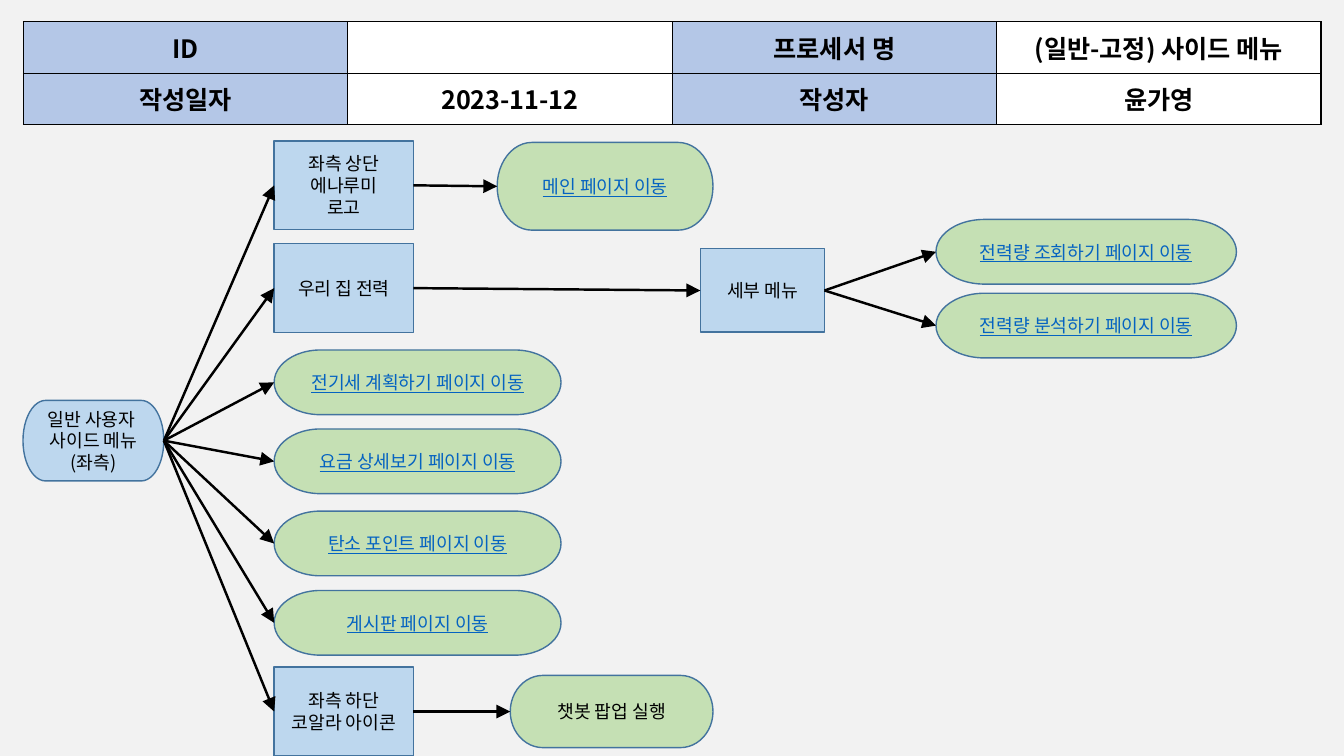
"""Build the side menu process flow slide for general users."""
import pptx
import pptx.dml.color
import pptx.enum.shapes
import pptx.enum.text
import pptx.oxml
import pptx.oxml.ns
import pptx.util
from lxml import etree

Cm = pptx.util.Cm
Pt = pptx.util.Pt
RGBColor = pptx.dml.color.RGBColor
qn = pptx.oxml.ns.qn
RECT = pptx.enum.shapes.MSO_SHAPE.RECTANGLE
TERMINATOR = pptx.enum.shapes.MSO_SHAPE.FLOWCHART_TERMINATOR

FONT = "Noto Sans CJK KR"
BACKGROUND = RGBColor(0xF2, 0xF2, 0xF2)
LABEL_BLUE = RGBColor(0xB4, 0xC7, 0xE7)
MENU_BLUE = RGBColor(0xBD, 0xD7, 0xEE)
PAGE_GREEN = RGBColor(0xC5, 0xE0, 0xB4)
OUTLINE = RGBColor(0x43, 0x73, 0x9E)
LINK = RGBColor(0x05, 0x63, 0xC1)
WHITE = RGBColor(0xFF, 0xFF, 0xFF)
BLACK = RGBColor(0, 0, 0)


def write(frame, text, size, color, bold=False, underline=False):
    frame.text = text
    for paragraph in frame.paragraphs:
        paragraph.alignment = pptx.enum.text.PP_ALIGN.CENTER
        font = paragraph.font
        font.name, font.size, font.bold, font.underline = FONT, Pt(size), bold, underline
        font.color.rgb = color
        properties = paragraph._p.pPr.find(qn("a:defRPr"))
        etree.SubElement(properties, qn("a:ea")).set("typeface", FONT)


prs = pptx.Presentation()
prs.slide_width, prs.slide_height = Cm(33.87), Cm(19.05)
slide = prs.slides.add_slide(prs.slide_layouts[6])
slide.background.fill.solid()
slide.background.fill.fore_color.rgb = BACKGROUND

document_info = [
    ["ID", "", "프로세서 명", "(일반-고정) 사이드 메뉴"],
    ["작성일자", "2023-11-12", "작성자", "윤가영"],
]
info_table = slide.shapes.add_table(2, 4, Cm(0.59), Cm(0.55), Cm(32.7), Cm(2.59)).table
for row, texts in enumerate(document_info):
    for column, text in enumerate(texts):
        cell = info_table.cell(row, column)
        cell.vertical_anchor = pptx.enum.text.MSO_ANCHOR.MIDDLE
        write(cell.text_frame, text, 18, BLACK, bold=True)
        borders = cell._tc.get_or_add_tcPr()
        for side in ("lnL", "lnR", "lnT", "lnB"):
            borders.append(pptx.oxml.parse_xml(
                f'<a:{side} xmlns:a="http://schemas.openxmlformats.org/drawingml/2006/main" w="12700">'
                f'<a:solidFill><a:srgbClr val="{BLACK}"/></a:solidFill></a:{side}>'))
        cell.fill.solid()
        cell.fill.fore_color.rgb = WHITE if column % 2 else LABEL_BLUE

steps = {
    "side_menu": (TERMINATOR, 0.58, 10.09, 3.55, 2.03, MENU_BLUE, BLACK, "일반 사용자 \n사이드 메뉴\n(좌측)"),
    "logo": (RECT, 6.91, 3.55, 3.51, 2.24, MENU_BLUE, BLACK, "좌측 상단\n에나루미\n로고"),
    "home_power": (RECT, 6.91, 6.14, 3.51, 2.24, MENU_BLUE, BLACK, "우리 집 전력"),
    "plan": (TERMINATOR, 6.91, 8.82, 7.23, 1.63, PAGE_GREEN, LINK, "전기세 계획하기 페이지 이동"),
    "bill": (TERMINATOR, 6.91, 10.81, 7.23, 1.63, PAGE_GREEN, LINK, "요금 상세보기 페이지 이동"),
    "carbon": (TERMINATOR, 6.91, 12.88, 7.23, 1.63, PAGE_GREEN, LINK, "탄소 포인트 페이지 이동"),
    "board": (TERMINATOR, 6.91, 14.88, 7.23, 1.63, PAGE_GREEN, LINK, "게시판 페이지 이동"),
    "icon": (RECT, 6.91, 16.81, 3.51, 2.24, MENU_BLUE, BLACK, "좌측 하단\n코알라 아이콘"),
    "main_page": (TERMINATOR, 12.53, 3.59, 5.44, 2.21, PAGE_GREEN, LINK, "메인 페이지 이동"),
    "submenu": (RECT, 17.65, 6.27, 3.13, 2.1, MENU_BLUE, BLACK, "세부 메뉴"),
    "usage": (TERMINATOR, 23.59, 5.53, 7.57, 1.63, PAGE_GREEN, LINK, "전력량 조회하기 페이지 이동"),
    "analysis": (TERMINATOR, 23.59, 7.39, 7.57, 1.63, PAGE_GREEN, LINK, "전력량 분석하기 페이지 이동"),
    "chatbot": (TERMINATOR, 12.86, 17.02, 5.11, 1.82, PAGE_GREEN, BLACK, "챗봇 팝업 실행"),
}
nodes = {}
for name, (outline, left, top, width, height, fill, color, text) in steps.items():
    node = slide.shapes.add_shape(outline, Cm(left), Cm(top), Cm(width), Cm(height))
    node.shadow.inherit = False
    node.fill.solid()
    node.fill.fore_color.rgb = fill
    node.line.color.rgb = OUTLINE
    node.line.width = Pt(1)
    node.text_frame.word_wrap = True
    node.text_frame.vertical_anchor = pptx.enum.text.MSO_ANCHOR.MIDDLE
    write(node.text_frame, text, 13, color, underline=color == LINK)
    nodes[name] = node

flows = {
    "side_menu": ["logo", "home_power", "plan", "bill", "carbon", "board", "icon"],
    "logo": ["main_page"],
    "home_power": ["submenu"],
    "submenu": ["usage", "analysis"],
    "icon": ["chatbot"],
}
for source, targets in flows.items():
    for target in targets:
        arrow = slide.shapes.add_connector(pptx.enum.shapes.MSO_CONNECTOR.STRAIGHT, 0, 0, 0, 0)
        arrow.begin_connect(nodes[source], 3)
        arrow.end_connect(nodes[target], 1)
        arrow.line.color.rgb = BLACK
        arrow.line.width = Pt(1.75)
        head = etree.SubElement(arrow.line._get_or_add_ln(), qn("a:tailEnd"))
        head.set("type", "triangle")
        head.set("w", "lg")
        head.set("len", "lg")
        etree.SubElement(arrow._element.spPr, qn("a:effectLst"))

prs.save("out.pptx")
